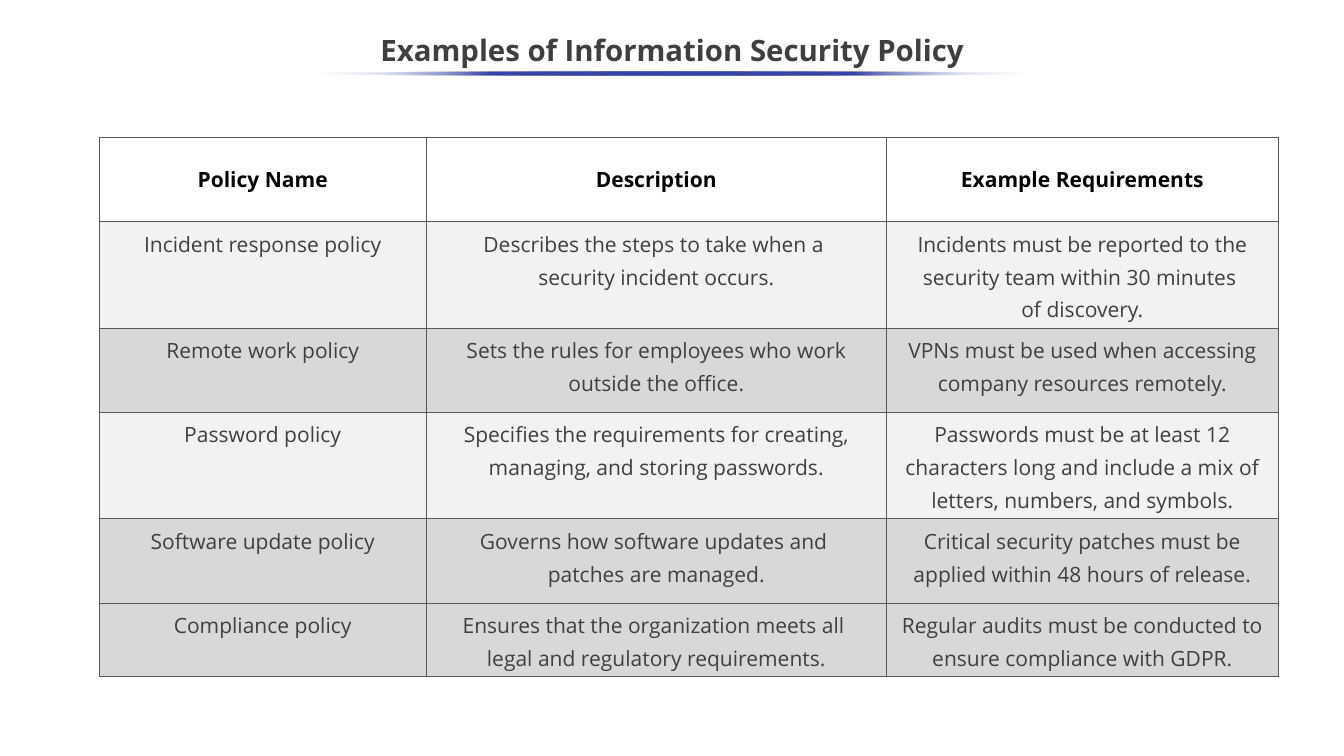
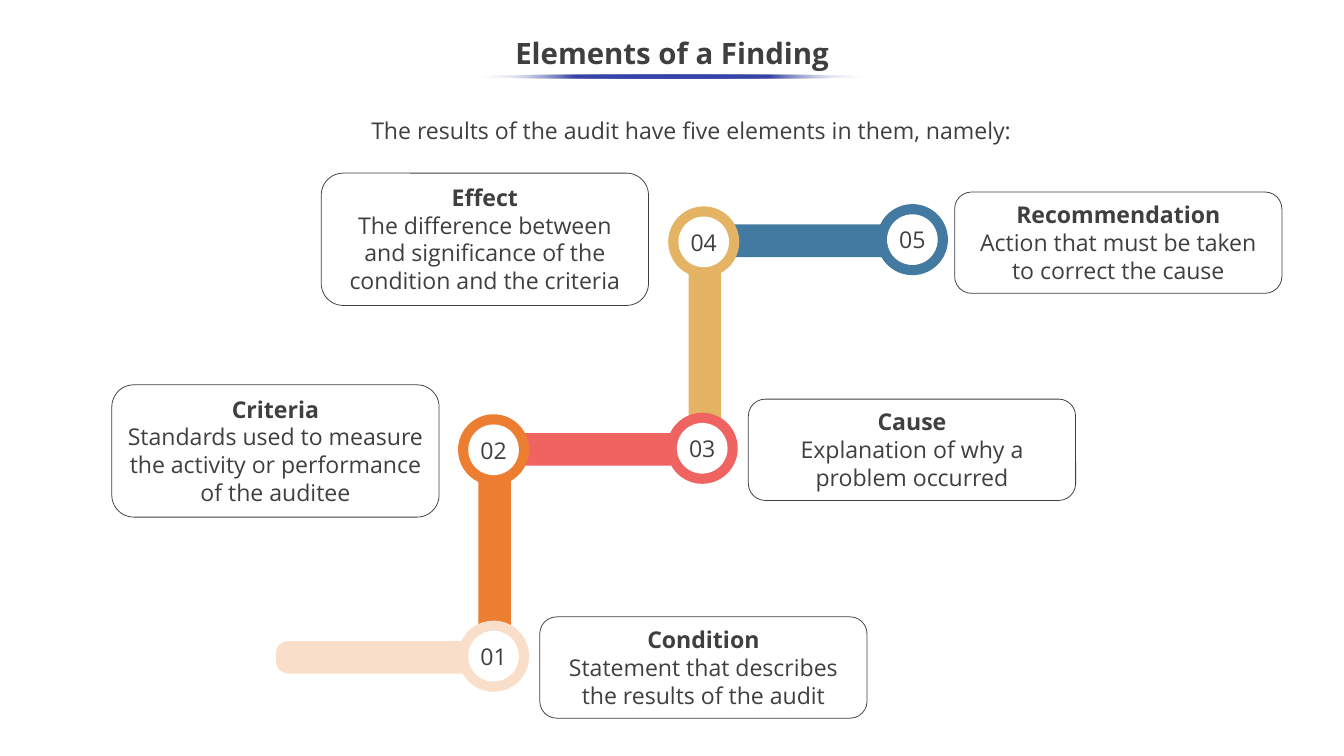
import math
from dataclasses import dataclass

import lxml.etree
import pptx
import pptx.dml.color
import pptx.enum.shapes
import pptx.enum.text
import pptx.oxml.ns
import pptx.util

ANCHOR = pptx.enum.text.MSO_ANCHOR
AUTO_SIZE = pptx.enum.text.MSO_AUTO_SIZE
SHAPE = pptx.enum.shapes.MSO_SHAPE
qn = pptx.oxml.ns.qn


@dataclass(frozen=True)
class Theme:
    font: str = "Open Sans"
    text: str = "3F3F3F"
    heading: str = "000000"
    white: str = "FFFFFF"
    underline: str = "3645A9"
    border: str = "595959"
    light_row: str = "F2F2F2"
    dark_row: str = "D8D8D8"
    title_size: int = 28
    body_size: int = 22
    table_size: int = 20
    hairline: float = 0.75


THEME = Theme()
WIDTH, HEIGHT = 17.78, 10

TABLE_COLUMNS = (24.33, 34.25, 29.15)
TABLE_ROWS = (11.17, 11.17, 11.17, 11.17, 11.17, 9.4)
ROW_FILLS = (None, THEME.light_row, THEME.dark_row, THEME.light_row, THEME.dark_row, THEME.dark_row)
POLICIES = (
    ("Policy Name", "Description", "Example Requirements"),
    ("Incident response policy",
     "Describes the steps to take when a \nsecurity incident occurs.",
     "Incidents must be reported to the security team within 30 minutes \nof discovery."),
    ("Remote work policy",
     "Sets the rules for employees who work outside the office.",
     "VPNs must be used when accessing company resources remotely."),
    ("Password policy",
     "Specifies the requirements for creating, managing, and storing passwords.",
     "Passwords must be at least 12 characters long and include a mix of letters, numbers, and symbols."),
    ("Software update policy",
     "Governs how software updates and \npatches are managed.",
     "Critical security patches must be applied within 48 hours of release."),
    ("Compliance policy",
     "Ensures that the organization meets all \nlegal and regulatory requirements.",
     "Regular audits must be conducted to ensure compliance with GDPR."),
)

RING_RADIUS, DISC_DIAMETER = 0.47, 0.67
ARM_LENGTH, ARM_CORNER = 2.88, 0.16
ARM_EDGES = (-0.23, 0.2)
LEFTWARD, DOWNWARD = (-1, 0), (0, 1)
CARD_WIDTH = 24.35
ELEMENTS = (
    ("01", (6.53, 8.68), LEFTWARD, "F9DEC9", (40.16, 81.6), 13.4,
     "Condition", "Statement that describes the results of the audit"),
    ("02", (6.53, 5.95), DOWNWARD, "ED7D31", (8.32, 50.9), 17.5,
     "Criteria", "Standards used to measure the activity or performance of the auditee"),
    ("03", (9.29, 5.93), LEFTWARD, "EF6461", (55.68, 52.8), 13.4,
     "Cause", "Explanation of why a problem occurred"),
    ("04", (9.31, 3.2), DOWNWARD, "E4B363", (23.9, 22.9), 17.5,
     "Effect", "The difference between and significance of the condition and the criteria"),
    ("05", (12.07, 3.17), LEFTWARD, "427AA1", (71.03, 25.4), 13.4,
     "Recommendation", "Action that must be taken to correct the cause"),
)


def across(percent):
    return pptx.util.Inches(WIDTH * percent / 100)


def down(percent):
    return pptx.util.Inches(HEIGHT * percent / 100)


def area(left, top, width, height):
    return across(left), down(top), across(width), down(height)


def around(center, width, height):
    return [pptx.util.Inches(value) for value in
            (center[0] - width / 2, center[1] - height / 2, width, height)]


def rgb(color):
    return pptx.dml.color.RGBColor.from_string(color)


def set_values(target, values):
    for name, value in values.items():
        setattr(target, name, value)


def write_paragraph(paragraph, text, size, color=THEME.text, bold=False, spacing=None):
    paragraph.text = text
    set_values(paragraph, {"alignment": pptx.enum.text.PP_ALIGN.CENTER, "line_spacing": spacing})
    for run in paragraph.runs:
        set_values(run.font, {"name": THEME.font, "size": pptx.util.Pt(size), "bold": bold})
        run.font.color.rgb = rgb(color)


def frame_text(shape, anchor, auto_size, wrap=True):
    frame = shape.text_frame
    set_values(frame, {"word_wrap": wrap, "auto_size": auto_size, "vertical_anchor": anchor})
    return frame


def paint(shape, fill=None, line=None):
    shape.shadow.inherit = False
    if fill:
        shape.fill.solid()
        shape.fill.fore_color.rgb = rgb(fill)
    else:
        shape.fill.background()
    if line:
        shape.line.color.rgb = rgb(line)
        shape.line.width = pptx.util.Pt(THEME.hairline)
    else:
        shape.line.fill.background()


def add_underline(slide, top, width):
    shape = slide.shapes.add_shape(SHAPE.OVAL, *area(50 - width / 2, top, width, 0.45))
    paint(shape)
    shape.fill.gradient()
    shape.fill.gradient_angle = 180
    stops = shape.element.spPr.find(".//" + qn("a:gsLst"))
    for stop in list(stops):
        stops.remove(stop)
    for position in (0, 25, 50, 75, 100):
        faded = position in (0, 100)
        stop = lxml.etree.SubElement(stops, qn("a:gs"), pos=str(position * 1000))
        color = lxml.etree.SubElement(stop, qn("a:srgbClr"),
                                      val=THEME.white if faded else THEME.underline)
        if faded:
            lxml.etree.SubElement(color, qn("a:alpha"), val="0")


def add_titled_slide(presentation, title, title_top, spacing):
    slide = presentation.slides.add_slide(presentation.slide_layouts[5])
    shape = slide.shapes.title
    set_values(shape, dict(zip(("left", "top", "width", "height"), area(0, title_top, 100, 7.5))))
    frame = frame_text(shape, ANCHOR.MIDDLE, AUTO_SIZE.NONE)
    write_paragraph(frame.paragraphs[0], title, THEME.title_size, bold=True, spacing=spacing)
    return slide


def border_cell(cell):
    properties = cell._tc.get_or_add_tcPr()
    for index, side in enumerate(("lnL", "lnR", "lnT", "lnB")):
        line = lxml.etree.Element(qn("a:" + side), w=str(pptx.util.Pt(THEME.hairline)))
        fill = lxml.etree.SubElement(line, qn("a:solidFill"))
        lxml.etree.SubElement(fill, qn("a:srgbClr"), val=THEME.border)
        properties.insert(index, line)


def format_cell(cell, text, fill):
    is_heading = fill is None
    side, edge = (0.13, 0.07) if is_heading else (0.1, 0.05)
    set_values(cell, {
        "vertical_anchor": ANCHOR.MIDDLE if is_heading else ANCHOR.TOP,
        "margin_left": pptx.util.Inches(side), "margin_right": pptx.util.Inches(side),
        "margin_top": pptx.util.Inches(edge), "margin_bottom": pptx.util.Inches(edge),
    })
    if is_heading:
        cell.fill.background()
    else:
        cell.fill.solid()
        cell.fill.fore_color.rgb = rgb(fill)
    border_cell(cell)
    write_paragraph(cell.text_frame.paragraphs[0], text, THEME.table_size,
                    THEME.heading if is_heading else THEME.text,
                    is_heading, None if is_heading else 1.15)


def add_policy_table(slide):
    bounds = area(7.38, 18.15, sum(TABLE_COLUMNS), sum(TABLE_ROWS))
    table = slide.shapes.add_table(len(TABLE_ROWS), len(TABLE_COLUMNS), *bounds).table
    set_values(table, {"first_row": False, "horz_banding": False})
    for column, width in zip(table.columns, TABLE_COLUMNS):
        column.width = across(width)
    for row, height, texts, fill in zip(table.rows, TABLE_ROWS, POLICIES, ROW_FILLS):
        row.height = down(height)
        for cell, text in zip(row.cells, texts):
            format_cell(cell, text, fill)


def arc(center, radius, start, end):
    reach = 4 / 3 * math.tan((end - start) / 4)
    begin, finish = ((math.cos(angle), math.sin(angle)) for angle in (start, end))
    units = ((begin[0] - reach * begin[1], begin[1] + reach * begin[0]),
             (finish[0] + reach * finish[1], finish[1] - reach * finish[0]), finish)
    return [(center[0] + radius * x, center[1] + radius * y) for x, y in units]


def ring_outline():
    low, high = ARM_EDGES
    quarter = math.pi / 2
    angles = (math.asin(high / RING_RADIUS), quarter, 2 * quarter, 3 * quarter,
              4 * quarter + math.asin(low / RING_RADIUS))
    corner = ARM_LENGTH - ARM_CORNER
    start = (RING_RADIUS * math.cos(angles[0]), high)
    curves = [point for first, last in zip(angles, angles[1:])
              for point in arc((0, 0), RING_RADIUS, first, last)]
    curves += [(corner, low)] * 3
    curves += arc((corner, low + ARM_CORNER), ARM_CORNER, -quarter, 0)
    curves += [(ARM_LENGTH, high - ARM_CORNER)] * 3
    curves += arc((corner, high - ARM_CORNER), ARM_CORNER, 0, quarter)
    return [start] + curves


def bend_segments(shape):
    lines = list(shape.element.iter(qn("a:lnTo")))
    for index in range(0, len(lines), 3):
        curve = lxml.etree.Element(qn("a:cubicBezTo"))
        lines[index].addprevious(curve)
        for line in lines[index:index + 3]:
            curve.append(line[0])
            line.getparent().remove(line)


def add_ring_with_arm(slide, center, direction, color):
    dx, dy = direction
    points = [(pptx.util.Inches(center[0] + along * dx - aside * dy),
               pptx.util.Inches(center[1] + along * dy + aside * dx))
              for along, aside in ring_outline()]
    builder = slide.shapes.build_freeform(*points[0])
    builder.add_line_segments(points[1:])
    shape = builder.convert_to_shape()
    bend_segments(shape)
    paint(shape, color)


def add_number(slide, center, number):
    disc = slide.shapes.add_shape(SHAPE.OVAL, *around(center, DISC_DIAMETER, DISC_DIAMETER))
    paint(disc, THEME.white)
    box = slide.shapes.add_textbox(*around(center, 0.56, 0.47))
    frame = frame_text(box, ANCHOR.MIDDLE, AUTO_SIZE.SHAPE_TO_FIT_TEXT, wrap=False)
    write_paragraph(frame.paragraphs[0], number, THEME.body_size)


def add_card(slide, bounds, heading, text):
    card = slide.shapes.add_shape(SHAPE.ROUNDED_RECTANGLE, *bounds)
    paint(card, line=THEME.text)
    frame = frame_text(card, ANCHOR.TOP, AUTO_SIZE.SHAPE_TO_FIT_TEXT)
    write_paragraph(frame.paragraphs[0], heading, THEME.body_size, bold=True)
    write_paragraph(frame.add_paragraph(), text, THEME.body_size)


def add_element(slide, number, center, direction, color, corner, height, heading, text):
    add_ring_with_arm(slide, center, direction, color)
    add_number(slide, center, number)
    add_card(slide, area(*corner, CARD_WIDTH, height), heading, text)


def add_intro(slide, text):
    box = slide.shapes.add_textbox(*area(22.8, 14.4, 57.26, 5.7))
    frame = frame_text(box, ANCHOR.TOP, AUTO_SIZE.SHAPE_TO_FIT_TEXT)
    set_values(frame, {"margin_top": pptx.util.Inches(0.1), "margin_bottom": pptx.util.Inches(0.1)})
    write_paragraph(frame.paragraphs[0], text, THEME.body_size)


def build_policy_slide(presentation):
    slide = add_titled_slide(presentation, "Examples of Information Security Policy", 2.5, 1.15)
    add_policy_table(slide)
    add_underline(slide, 9.5, 54.27)


def build_finding_slide(presentation):
    slide = add_titled_slide(presentation, "Elements of a Finding", 3.5, 0.9)
    for element in reversed(ELEMENTS):
        add_element(slide, *element)
    add_intro(slide, "The results of the audit have five elements in them, namely:")
    add_underline(slide, 9.9, 29.13)


def main():
    presentation = pptx.Presentation()
    set_values(presentation, {"slide_width": across(100), "slide_height": down(100)})
    build_policy_slide(presentation)
    build_finding_slide(presentation)
    presentation.save("out.pptx")


if __name__ == "__main__":
    main()
